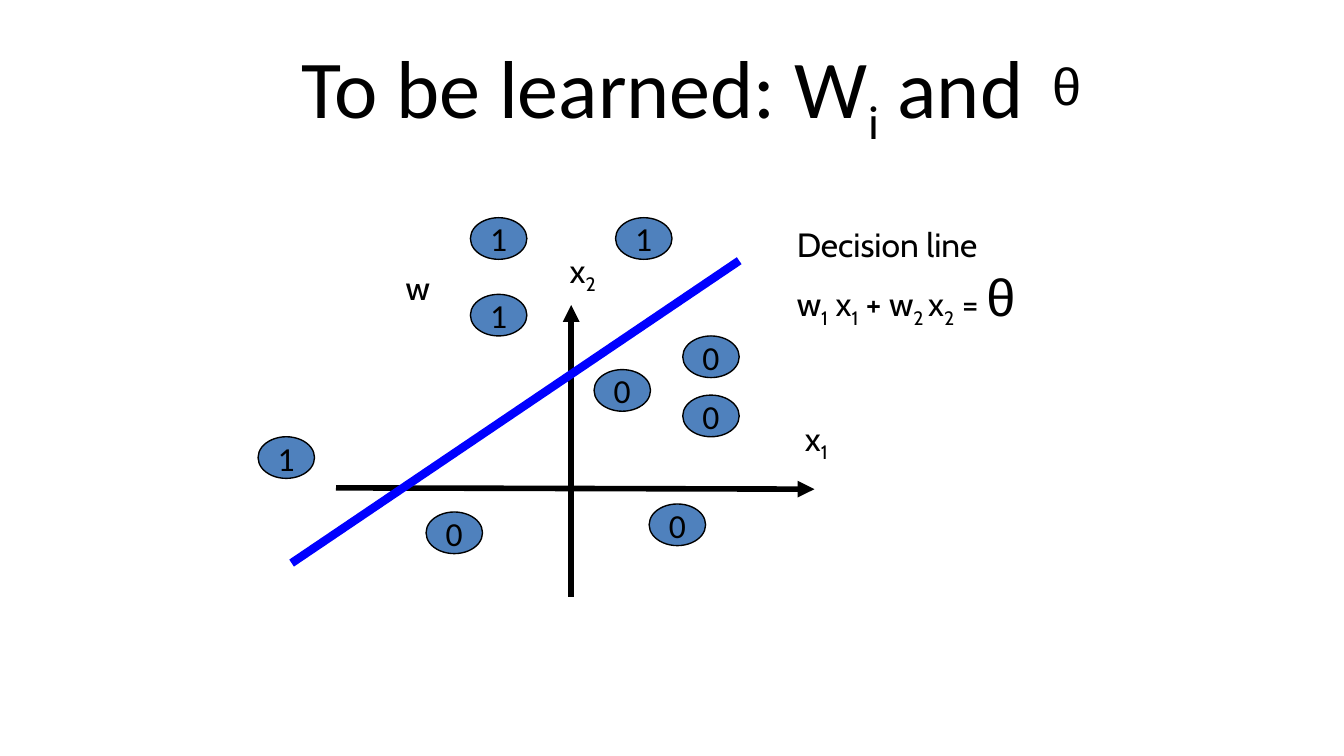
import pptx
import pptx.util
import pptx.dml.color
import pptx.enum.shapes
import pptx.enum.text
import pptx.oxml
import pptx.oxml.ns

BLACK = pptx.dml.color.RGBColor(0x00, 0x00, 0x00)
BLUE = pptx.dml.color.RGBColor(0x00, 0x00, 0xFF)
STEEL_BLUE = pptx.dml.color.RGBColor(0x4F, 0x81, 0xBD)
CENTER = pptx.enum.text.PP_ALIGN.CENTER
MIDDLE = pptx.enum.text.MSO_ANCHOR.MIDDLE
DRAWING_NAMESPACE = pptx.oxml.ns.nsdecls("a")
Inches = pptx.util.Inches


def add_runs_with_subscripts(paragraph, texts, name, size):
    font_format = {"name": name, "size": pptx.util.Pt(size)}
    for index, text in enumerate(texts):
        run = paragraph.add_run()
        run.text = text
        for attribute, value in font_format.items():
            setattr(run.font, attribute, value)
        run.font.color.rgb = BLACK
        if index % 2:
            run.font._element.set("baseline", "-25000")


def add_label(left, top, width, height, wrap):
    label = slide.shapes.add_textbox(Inches(left), Inches(top), Inches(width), Inches(height))
    frame_format = {
        "word_wrap": wrap,
        "auto_size": pptx.enum.text.MSO_AUTO_SIZE.SHAPE_TO_FIT_TEXT,
    }
    for attribute, value in frame_format.items():
        setattr(label.text_frame, attribute, value)
    return label.text_frame


presentation = pptx.Presentation()
presentation.slide_width = Inches(10)
presentation.slide_height = Inches(10 * 9 / 16)
slide = presentation.slides.add_slide(presentation.slide_layouts[5])

title = slide.shapes.title
title_format = {
    "left": Inches(0.5), "top": Inches(0.22),
    "width": Inches(9), "height": Inches(0.94),
}
for attribute, value in title_format.items():
    setattr(title, attribute, value)
title.text_frame.vertical_anchor = MIDDLE
title_paragraph = title.text_frame.paragraphs[0]
title_paragraph.alignment = CENTER
add_runs_with_subscripts(title_paragraph, ["To be learned: W", "i", " and "], "Calibri", 44)

lines = [
    (4.25, 2.27, 4.25, 4.44, BLACK, 3, True),
    (6.06, 3.64, 2.5, 3.63, BLACK, 3, True),
    (2.17, 4.19, 5.5, 1.94, BLUE, 4.5, False),
]
for start_x, start_y, end_x, end_y, color, width, has_arrow in lines:
    connector = slide.shapes.add_connector(
        pptx.enum.shapes.MSO_CONNECTOR.STRAIGHT,
        Inches(start_x), Inches(start_y), Inches(end_x), Inches(end_y))
    connector.line.color.rgb = color
    connector.line.width = pptx.util.Pt(width)
    properties = connector._element.spPr
    if has_arrow:
        properties.find(pptx.oxml.ns.qn("a:ln")).append(pptx.oxml.parse_xml(
            f'<a:headEnd {DRAWING_NAMESPACE} type="triangle"/>'))
    properties.append(pptx.oxml.parse_xml(f"<a:effectLst {DRAWING_NAMESPACE}/>"))

labels = [
    (5.89, 3.06, 0.42, ["x", "1"]),
    (4.14, 1.81, 0.42, ["x", "2"]),
    (2.92, 1.94, 0.39, ["w"]),
]
for left, top, width, texts in labels:
    frame = add_label(left, top, width, 0.4, False)
    add_runs_with_subscripts(frame.paragraphs[0], texts, "Cabin", 18)

decision_frame = add_label(5.83, 1.62, 2.21, 0.88, False)
add_runs_with_subscripts(decision_frame.paragraphs[0], ["Decision line"], "Cabin", 18)
equation = decision_frame.add_paragraph()
equation_texts = ["w", "1", " x", "1", " + w", "2 ", "x", "2", " = "]
add_runs_with_subscripts(equation, equation_texts, "Cabin", 18)
add_runs_with_subscripts(equation, ["θ"], "Arial", 28)

points = [
    (3.5, 2.19, "1"), (3.5, 1.62, "1"), (4.58, 1.62, "1"),
    (5.08, 2.5, "0"), (5.08, 2.94, "0"), (4.83, 3.75, "0"),
    (3.17, 3.81, "0"), (4.42, 2.75, "0"), (1.92, 3.25, "1"),
]
for left, top, value in points:
    point = slide.shapes.add_shape(
        pptx.enum.shapes.MSO_SHAPE.OVAL,
        Inches(left), Inches(top), Inches(0.42), Inches(0.31))
    point.shadow.inherit = False
    point.fill.solid()
    point.fill.fore_color.rgb = STEEL_BLUE
    point.line.color.rgb = BLACK
    point.line.width = pptx.util.Pt(0.75)
    point.text_frame.word_wrap = False
    point.text_frame.vertical_anchor = MIDDLE
    paragraph = point.text_frame.paragraphs[0]
    paragraph.alignment = CENTER
    add_runs_with_subscripts(paragraph, [value], "Calibri", 18)

theta_frame = add_label(7.73, 0.35, 0.92, 0.57, True)
add_runs_with_subscripts(theta_frame.paragraphs[0], ["θ"], "Arial", 28)

presentation.save("out.pptx")
